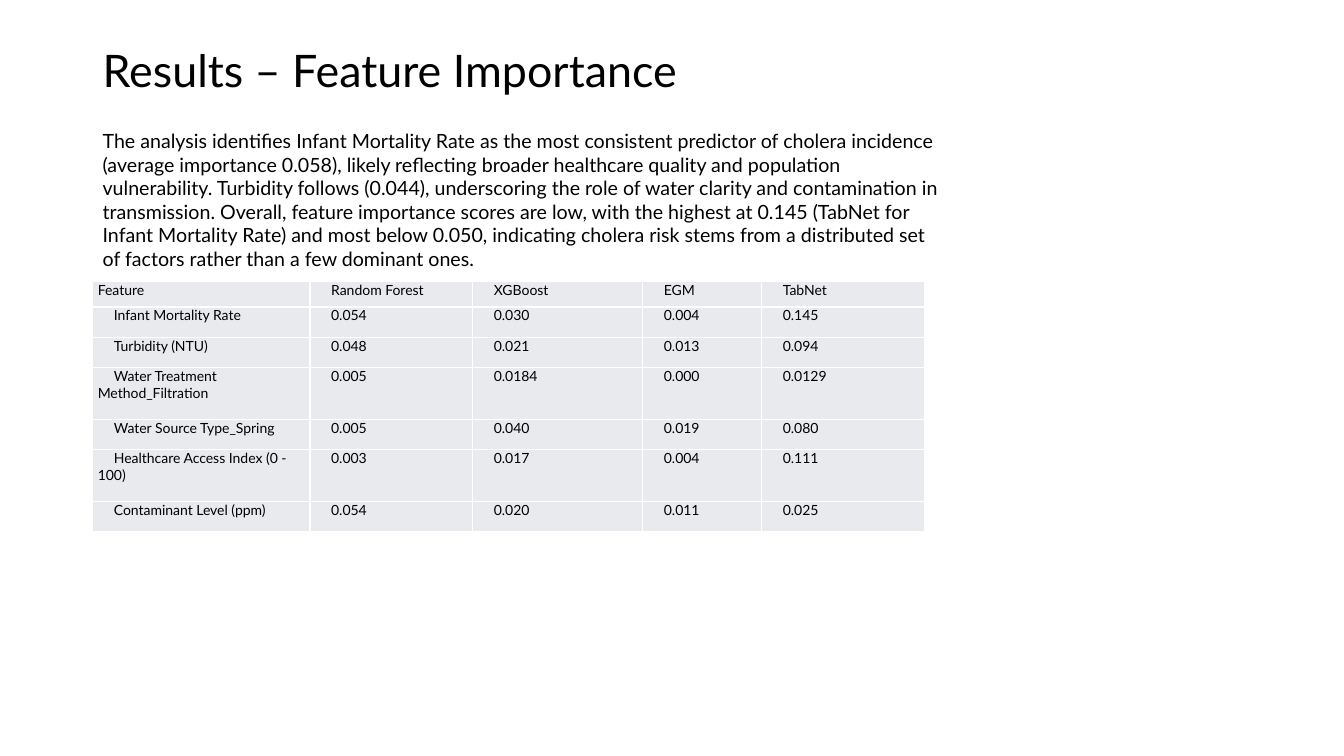
from lxml import etree
from pptx import Presentation
from pptx.dml.color import RGBColor
from pptx.enum.text import MSO_ANCHOR, PP_ALIGN
from pptx.oxml.ns import qn
from pptx.util import Pt

MIDDLE, TOP = MSO_ANCHOR.MIDDLE, MSO_ANCHOR.TOP
LEFT, JUSTIFY = PP_ALIGN.LEFT, PP_ALIGN.JUSTIFY

FONT = "Lato"
COLORS = {"text": "000000", "cell": "E8EAED", "border": "FFFFFF"}
MARGIN = 66.24
INDENT = 11.5

TITLE = "Results – Feature Importance"
SUMMARY = (
    "The analysis identifies Infant Mortality Rate as the most consistent predictor "
    "of cholera incidence (average importance 0.058), likely reflecting broader "
    "healthcare quality and population vulnerability. Turbidity follows (0.044), "
    "underscoring the role of water clarity and contamination in transmission. "
    "Overall, feature importance scores are low, with the highest at 0.145 (TabNet "
    "for Infant Mortality Rate) and most below 0.050, indicating cholera risk stems "
    "from a distributed set of factors rather than a few dominant ones."
)
SCORES = [
    ("Feature", "Random Forest", "XGBoost", "EGM", "TabNet"),
    ("Infant Mortality Rate", "0.054", "0.030", "0.004", "0.145"),
    ("Turbidity (NTU)", "0.048", "0.021", "0.013", "0.094"),
    ("Water Treatment Method_Filtration", "0.005", "0.0184", "0.000", "0.0129"),
    ("Water Source Type_Spring", "0.005", "0.040", "0.019", "0.080"),
    ("Healthcare Access Index (0 - 100)", "0.003", "0.017", "0.004", "0.111"),
    ("Contaminant Level (ppm)", "0.054", "0.020", "0.011", "0.025"),
]
COLUMN_WIDTHS = [155.2, 116.2, 121.5, 85, 116.2]
HEADER_HEIGHT, ROW_HEIGHT, TALL_HEIGHT = 18.4, 21.7, 36.9
ROW_HEIGHTS = [HEADER_HEIGHT, ROW_HEIGHT, ROW_HEIGHT, TALL_HEIGHT,
               ROW_HEIGHT, TALL_HEIGHT, ROW_HEIGHT]


def rgb(name):
    return RGBColor.from_string(COLORS[name])


def write(p, text, size, spacing):
    p.text = text
    p.line_spacing = spacing
    p.font.name, p.font.size = FONT, Pt(size)
    p.font.color.rgb = rgb("text")


def add_text(s, box, text, size, spacing=1.0, anchor=TOP):
    tf = s.shapes.add_textbox(*map(Pt, box)).text_frame
    tf.word_wrap = True
    tf.vertical_anchor = anchor
    write(tf.paragraphs[0], text, size, spacing)


def add_borders(cell):
    tc_pr = cell._tc.get_or_add_tcPr()
    for side in ("lnL", "lnR", "lnT", "lnB"):
        ln = etree.SubElement(tc_pr, qn(f"a:{side}"), w=str(Pt(1)))
        fill = etree.SubElement(ln, qn("a:solidFill"))
        etree.SubElement(fill, qn("a:srgbClr"), val=COLORS["border"])


def fill_cell(cell, text, align, indent):
    cell.margin_left = cell.margin_right = Pt(3.6)
    cell.margin_top = cell.margin_bottom = 0
    add_borders(cell)
    cell.fill.solid()
    cell.fill.fore_color.rgb = rgb("cell")
    p = cell.text_frame.paragraphs[0]
    write(p, text, 10, Pt(12))
    p.alignment = align
    p._p.get_or_add_pPr().set("indent", str(Pt(indent)))


def add_score_table(s, left, top):
    size = sum(COLUMN_WIDTHS), sum(ROW_HEIGHTS)
    table = s.shapes.add_table(len(SCORES), len(SCORES[0]),
                               *map(Pt, (left, top, *size))).table
    table.first_row = table.horz_banding = False
    for column, width in zip(table.columns, COLUMN_WIDTHS):
        column.width = Pt(width)
    for r, (row, height) in enumerate(zip(SCORES, ROW_HEIGHTS)):
        table.rows[r].height = Pt(height)
        for c, text in enumerate(row):
            align = LEFT if r and c == 0 else JUSTIFY
            indent = INDENT if r or c else 0
            fill_cell(table.cell(r, c), text, align, indent)


def main():
    prs = Presentation()
    prs.slide_width, prs.slide_height = Pt(960), Pt(540)
    s = prs.slides.add_slide(prs.slide_layouts[6])
    add_text(s, (MARGIN, 15.84, 650.9, 72.7), TITLE, 32, 0.9, MIDDLE)
    add_text(s, (MARGIN, 88.56, 612, 108.7), SUMMARY, 14)
    add_score_table(s, MARGIN, 200.9)
    prs.save("out.pptx")


if __name__ == "__main__":
    main()
